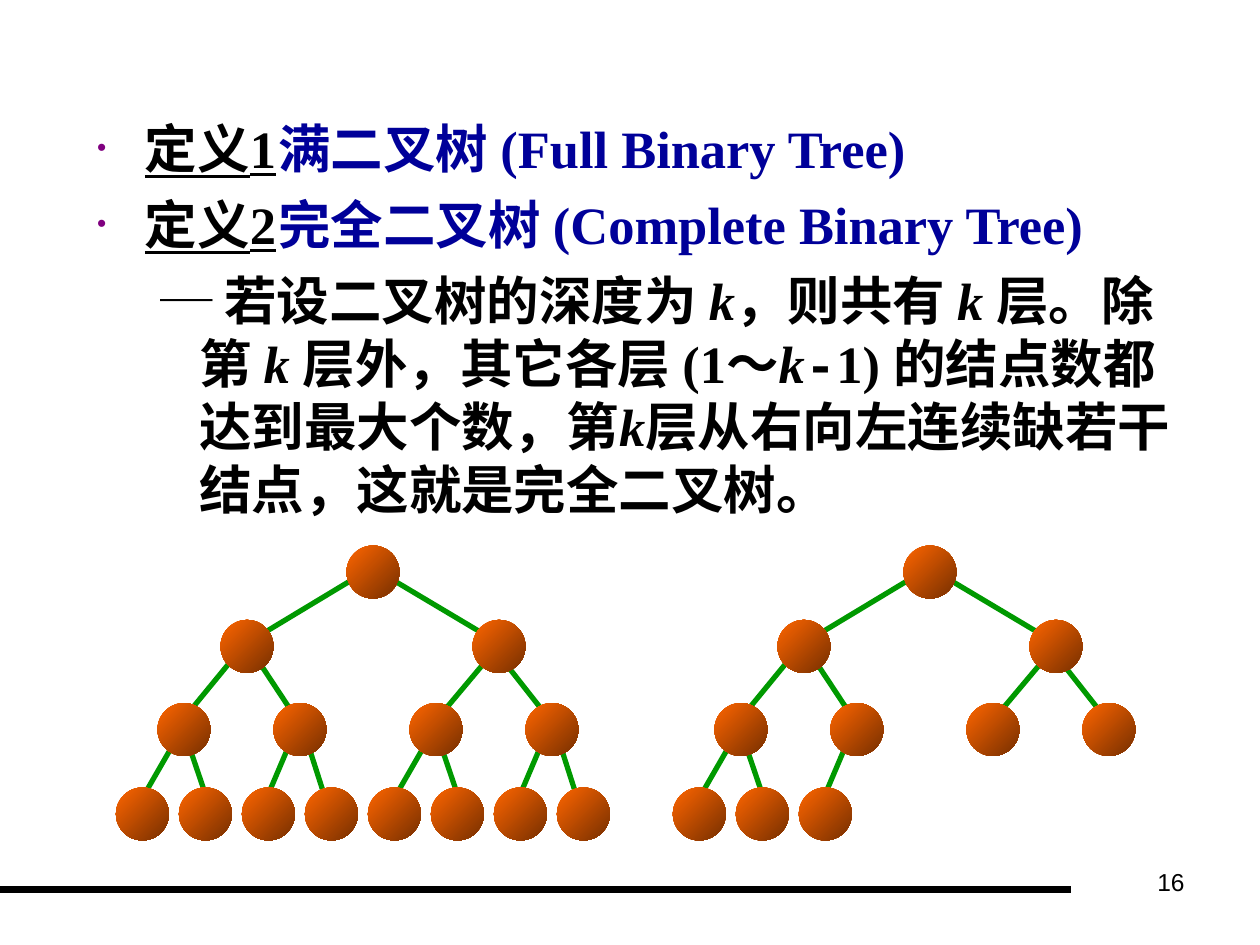
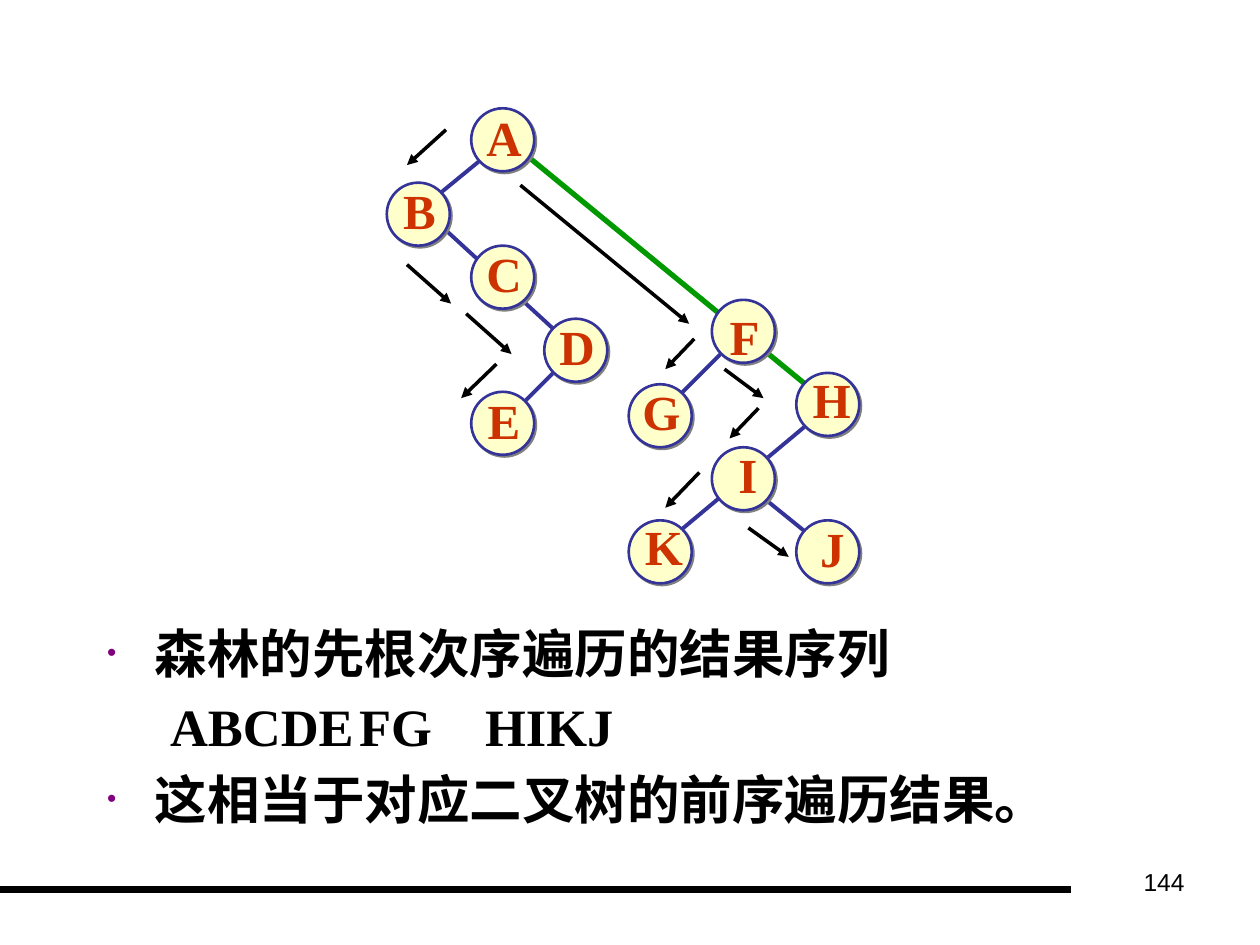
"""Build two slides on binary trees and on preorder traversal of a forest."""
from dataclasses import dataclass
from typing import NamedTuple, Optional

import pptx
import pptx.dml.color
import pptx.enum.shapes
import pptx.enum.text
import pptx.oxml
import pptx.oxml.ns
import pptx.util
from lxml import etree
from pptx.presentation import Presentation
from pptx.shapes.autoshape import Shape
from pptx.slide import Slide
from pptx.text.text import _Paragraph as Paragraph

RGBColor = pptx.dml.color.RGBColor
Pt = pptx.util.Pt
qn = pptx.oxml.ns.qn
MSO_SHAPE = pptx.enum.shapes.MSO_SHAPE
PP_ALIGN = pptx.enum.text.PP_ALIGN

EMU_PER_PX = 9144
BLACK = RGBColor(0x00, 0x00, 0x00)
NAVY = RGBColor(0x00, 0x00, 0x99)
PURPLE = RGBColor(0x80, 0x00, 0x80)
GREEN = RGBColor(0x00, 0x99, 0x00)
INDIGO = RGBColor(0x33, 0x33, 0x99)
ORANGE = RGBColor(0xFF, 0x66, 0x00)
BROWN = RGBColor(0x76, 0x2F, 0x00)
CREAM = RGBColor(0xFF, 0xFF, 0xCC)
RED = RGBColor(0xCC, 0x33, 0x00)
GRAY = RGBColor(0x80, 0x80, 0x80)
SERIF = "Times New Roman"


class Box(NamedTuple):
    left: int
    top: int
    width: int
    height: int


class Line(NamedTuple):
    x1: int
    y1: int
    x2: int
    y2: int


class Stroke(NamedTuple):
    color: RGBColor
    points: float
    arrow: bool = False


class TextRun(NamedTuple):
    text: str
    color: Optional[RGBColor] = None
    underline: bool = False
    italic: bool = False
    font: Optional[str] = None


@dataclass
class BodyParagraph:
    runs: list[TextRun]
    bullet: bool = False
    level: int = 0
    margin: int = 0
    indent: int = 0
    tabs: tuple[int, ...] = ()


@dataclass
class LetterNode:
    letter: str
    left: int
    top: int
    label_left: int
    label_top: int
    label_width: int


RULE = Stroke(BLACK, 4.5)
GREEN_EDGE = Stroke(GREEN, 3)
INDIGO_EDGE = Stroke(INDIGO, 2.25)
ARROW = Stroke(BLACK, 2, arrow=True)

BALL_SIZE = 42
COMPLETE_TREE_OFFSET = 442
COMPLETE_TREE_NODES = 10
BALLS = (
    [(275, 433)]
    + [(left, 492) for left in (175, 375)]
    + [(left, 558) for left in (125, 217, 325, 417)]
    + [(92 + 50 * leaf, 625) for leaf in range(8)]
)
TREE_EDGES = [
    Line(283, 458, 200, 508), Line(308, 458, 392, 508),
    Line(183, 525, 142, 575), Line(200, 517, 233, 567),
    Line(392, 517, 350, 567), Line(400, 525, 433, 567),
    Line(142, 583, 108, 642), Line(150, 592, 167, 642),
    Line(233, 583, 208, 642), Line(242, 583, 258, 633),
    Line(342, 583, 308, 642), Line(350, 592, 367, 642),
    Line(433, 583, 408, 642), Line(442, 583, 458, 633),
]

LETTER_SIZE = 50
LETTER_NODES = [
    LetterNode("A", 374, 86, 376, 80, 48),
    LetterNode("B", 307, 145, 310, 138, 46),
    LetterNode("C", 374, 195, 376, 188, 48),
    LetterNode("D", 432, 253, 434, 246, 48),
    LetterNode("E", 374, 311, 377, 305, 46),
    LetterNode("F", 565, 238, 569, 238, 44),
    LetterNode("G", 499, 305, 500, 298, 50),
    LetterNode("H", 632, 296, 635, 288, 50),
    LetterNode("I", 565, 355, 576, 348, 35),
    LetterNode("J", 632, 413, 641, 406, 39),
    LetterNode("K", 499, 413, 502, 405, 50),
]
SIBLING_EDGE = Line(415, 121, 649, 313)
CHILD_EDGES = [
    Line(449, 286, 407, 328), Line(340, 170, 449, 270),
    Line(390, 120, 340, 161), Line(607, 396, 649, 430),
    Line(649, 330, 540, 421), Line(582, 271, 532, 321),
]
VISIT_ARROWS = [
    Line(354, 103, 323, 131), Line(323, 210, 358, 241),
    Line(370, 249, 406, 281), Line(394, 289, 366, 316),
    Line(413, 147, 547, 257), Line(551, 269, 528, 293),
    Line(575, 293, 606, 316), Line(602, 324, 579, 348),
    Line(555, 375, 528, 403), Line(594, 419, 626, 442),
]


def px(length: int) -> pptx.util.Emu:
    return pptx.util.Emu(length * EMU_PER_PX)


def place(box: Box) -> list[pptx.util.Emu]:
    return [px(length) for length in box]


def add_line(slide: Slide, line: Line, stroke: Stroke) -> None:
    connector = slide.shapes.add_connector(
        pptx.enum.shapes.MSO_CONNECTOR.STRAIGHT, *[px(length) for length in line])
    connector.line.color.rgb = stroke.color
    connector.line.width = Pt(stroke.points)
    properties = connector.element.spPr
    if stroke.arrow:
        etree.SubElement(properties.find(qn("a:ln")), qn("a:tailEnd"), type="triangle")
    etree.SubElement(properties, qn("a:effectLst"))


def add_circle(slide: Slide, left: int, top: int, size: int) -> Shape:
    shape = slide.shapes.add_shape(MSO_SHAPE.OVAL, *place(Box(left, top, size, size)))
    shape.shadow.inherit = False
    return shape


def add_text(slide: Slide, box: Box, text: str, alignment: PP_ALIGN,
             font: str, points: int, color: RGBColor) -> Shape:
    shape = slide.shapes.add_textbox(*place(box))
    shape.text_frame.word_wrap = True
    paragraph = shape.text_frame.paragraphs[0]
    paragraph.text = text
    paragraph.alignment = alignment
    style_paragraph(paragraph, font, points, color)
    return shape


def style_paragraph(paragraph: Paragraph, font: str, points: int, color: RGBColor) -> None:
    paragraph.font.name = font
    paragraph.font.size = Pt(points)
    paragraph.font.bold = font == SERIF
    paragraph.font.color.rgb = color


def format_bullet(paragraph: Paragraph, content: BodyParagraph) -> None:
    properties = paragraph._p.get_or_add_pPr()
    properties.set("marL", str(px(content.margin)))
    properties.set("indent", str(px(content.indent)))
    if content.bullet:
        color = etree.SubElement(properties, qn("a:buClr"))
        etree.SubElement(color, qn("a:srgbClr"), val=str(PURPLE))
        etree.SubElement(properties, qn("a:buSzPct"), val="50000")
        etree.SubElement(properties, qn("a:buChar"), char="•")
    else:
        etree.SubElement(properties, qn("a:buNone"))
    if content.tabs:
        tab_list = etree.SubElement(properties, qn("a:tabLst"))
        for position in content.tabs:
            etree.SubElement(tab_list, qn("a:tab"), pos=str(px(position)), algn="l")


def fill_body(slide: Slide, box: Box, contents: list[BodyParagraph], gap: float) -> None:
    body = slide.placeholders[1]
    body.left, body.top, body.width, body.height = place(box)
    frame = body.text_frame
    frame.auto_size = pptx.enum.text.MSO_AUTO_SIZE.NONE
    frame.margin_top = px(8)
    for index, content in enumerate(contents):
        paragraph = frame.add_paragraph() if index else frame.paragraphs[0]
        paragraph.level = content.level
        paragraph.line_spacing = Pt(36)
        paragraph.space_before = Pt(gap if index else 0)
        format_bullet(paragraph, content)
        style_paragraph(paragraph, SERIF, 30, BLACK)
        for text_run in content.runs:
            run = paragraph.add_run()
            run.text = text_run.text
            if text_run.color is not None:
                run.font.color.rgb = text_run.color
            if text_run.underline:
                run.font.underline = True
            if text_run.italic:
                run.font.italic = True
            if text_run.font:
                run.font.name = text_run.font


def add_base_slide(presentation: Presentation, number: int) -> Slide:
    slide = presentation.slides.add_slide(presentation.slide_layouts[1])
    title = slide.shapes.title.element
    title.getparent().remove(title)
    add_line(slide, Line(0, 706, 850, 706), RULE)
    add_text(slide, Box(717, 683, 233, 52), str(number), PP_ALIGN.RIGHT, "Arial", 14, BLACK)
    return slide


def bullet(*runs: TextRun, tabs: tuple[int, ...] = ()) -> BodyParagraph:
    return BodyParagraph(list(runs), bullet=True, margin=38, indent=-38, tabs=tabs)


def definition(number: int, term: str) -> BodyParagraph:
    return bullet(TextRun(f"定义{number}", underline=True), TextRun("\t"),
                  TextRun(term, NAVY), tabs=(144,))


def draw_ball_tree(slide: Slide, offset: int, count: int) -> None:
    for edge in TREE_EDGES[:count - 1]:
        add_line(slide, edge._replace(x1=edge.x1 + offset, x2=edge.x2 + offset), GREEN_EDGE)
    for left, top in BALLS[:count]:
        ball = add_circle(slide, left + offset, top, BALL_SIZE)
        ball.line.fill.background()
        ball.fill.gradient()
        ball.fill.gradient_angle = 315
        for stop, color in zip(ball.fill.gradient_stops, (ORANGE, BROWN)):
            stop.color.rgb = color


def draw_letter_node(slide: Slide, node: LetterNode) -> None:
    circle = add_circle(slide, node.left, node.top, LETTER_SIZE)
    circle.fill.solid()
    circle.fill.fore_color.rgb = CREAM
    circle.line.color.rgb = INDIGO
    circle.line.width = Pt(1.5)
    effects = circle.element.spPr.find(qn("a:effectLst"))
    shadow = etree.SubElement(effects, qn("a:outerShdw"), dist=str(Pt(1.4)),
                              dir="2700000", algn="ctr", rotWithShape="0")
    etree.SubElement(shadow, qn("a:srgbClr"), val=str(GRAY))
    label = add_text(slide, Box(node.label_left, node.label_top, node.label_width, 57),
                     node.letter, PP_ALIGN.CENTER, SERIF, 28, RED)
    label.text_frame.word_wrap = False
    label.text_frame.auto_size = pptx.enum.text.MSO_AUTO_SIZE.SHAPE_TO_FIT_TEXT
    label.text_frame.vertical_anchor = pptx.enum.text.MSO_ANCHOR.MIDDLE


def build_definitions(presentation: Presentation) -> None:
    slide = add_base_slide(presentation, 16)
    explanation = [
        TextRun("─ 若设二叉树的深度为 "), TextRun("k", italic=True),
        TextRun("，则共有 "), TextRun("k ", italic=True),
        TextRun("层。除第 "), TextRun("k ", italic=True),
        TextRun("层外，其它各层 (1"), TextRun("～", font="Noto Sans CJK SC"),
        TextRun("k", italic=True), TextRun("-", font="Courier New"),
        TextRun("1) 的结点数都达到最大个数，第"), TextRun("k", italic=True),
        TextRun("层从右向左连续缺若干结点，这就是完全二叉树。"),
    ]
    fill_body(slide, Box(67, 84, 900, 425), [
        definition(1, "满二叉树 (Full Binary Tree)"),
        definition(2, "完全二叉树 (Complete Binary Tree)"),
        BodyParagraph(explanation, level=1, margin=81, indent=-31),
    ], 7.5)
    draw_ball_tree(slide, 0, len(BALLS))
    draw_ball_tree(slide, COMPLETE_TREE_OFFSET, COMPLETE_TREE_NODES)


def build_traversal(presentation: Presentation) -> None:
    slide = add_base_slide(presentation, 144)
    fill_body(slide, Box(75, 485, 900, 201), [
        bullet(TextRun("森林的先根次序遍历的结果序列")),
        BodyParagraph([TextRun("\tABCDE\tFG\tHIKJ")], tabs=(138, 304, 382)),
        bullet(TextRun("这相当于对应二叉树的前序遍历结果。")),
    ], 5.6)
    for edge in CHILD_EDGES:
        add_line(slide, edge, INDIGO_EDGE)
    add_line(slide, SIBLING_EDGE, GREEN_EDGE)
    for node in LETTER_NODES:
        draw_letter_node(slide, node)
    for arrow in VISIT_ARROWS:
        add_line(slide, arrow, ARROW)


def main() -> None:
    presentation = pptx.Presentation()
    presentation.slide_width, presentation.slide_height = px(1000), px(750)
    build_definitions(presentation)
    build_traversal(presentation)
    presentation.save("out.pptx")


if __name__ == "__main__":
    main()
